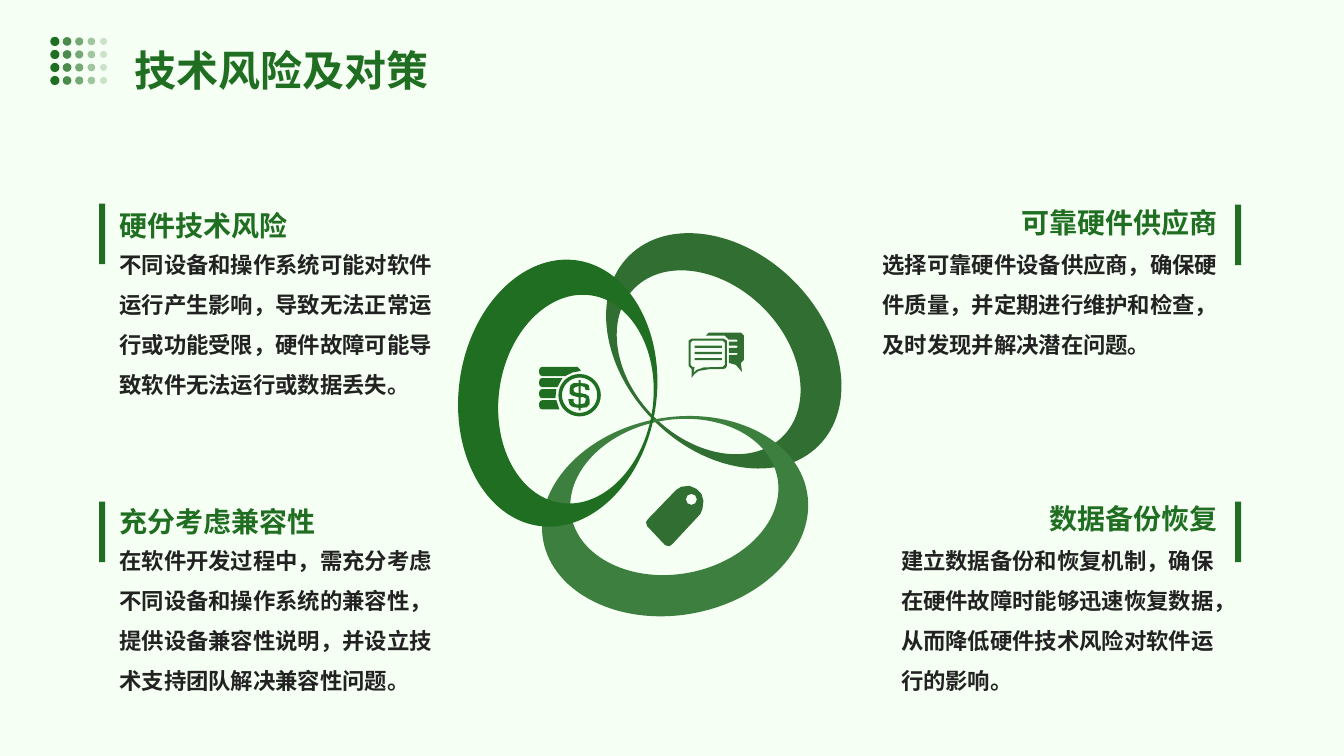
from dataclasses import dataclass
from math import cos, radians, sin

from lxml.etree import SubElement
from pptx import Presentation
from pptx.dml.color import RGBColor
from pptx.enum.shapes import MSO_SHAPE
from pptx.enum.text import MSO_ANCHOR, MSO_AUTO_SIZE, PP_ALIGN
from pptx.oxml.ns import qn
from pptx.util import Pt


@dataclass(frozen=True)
class Theme:
    back: str = "F6FFF4"
    deep: str = "1F6E21"
    mid: str = "306F31"
    soft: str = "3C7F3E"
    ink: str = "222222"
    face: str = "Noto Sans CJK JP"
    text: str = "Noto Sans CJK SC"
    title: int = 30
    head: int = 20
    body: int = 16


LOOK = Theme()
PAD = (5, 3, 5, 3)


class Curve(list):
    """A loop whose points after the first are Bezier triples."""


def apply(item, form):
    for key, val in form.items():
        setattr(item, key, val)


def paint(shape, hue, alpha=100):
    shape.shadow.inherit = False
    shape.line.fill.background()
    shape.fill.solid()
    shape.fill.fore_color.rgb = RGBColor.from_string(hue)
    if alpha < 100:
        tone = shape.fill._xPr.find(".//" + qn("a:srgbClr"))
        SubElement(tone, qn("a:alpha"), val=str(alpha * 1000))


def block(shapes, kind, box, hue, alpha=100):
    paint(shapes.add_shape(kind, *map(Pt, box)), hue, alpha)


def label(shapes, box, words, size, hue, face, pad=PAD, space=1.5,
          align=PP_ALIGN.LEFT, anchor=MSO_ANCHOR.TOP, fit=MSO_AUTO_SIZE.NONE):
    frame = shapes.add_textbox(*map(Pt, box)).text_frame
    sides = ("margin_left", "margin_top", "margin_right", "margin_bottom")
    apply(frame, dict(zip(sides, map(Pt, pad)), word_wrap=True,
                      auto_size=fit, vertical_anchor=anchor))
    para = frame.paragraphs[0]
    apply(para, {"line_spacing": space, "alignment": align})
    run = para.add_run()
    run.text = words
    apply(run.font, {"size": Pt(size), "bold": True, "name": face})
    run.font.color.rgb = RGBColor.from_string(hue)
    SubElement(run.font._element, qn("a:ea"), typeface=face)


def bend(shape, loops):
    """Turn the straight segments of each Curve into cubic ones."""
    starts = list(shape._element.iter(qn("a:moveTo")))
    for start, loop in zip(starts, loops):
        if not isinstance(loop, Curve):
            continue
        prior = start
        for _ in range(len(loop) // 3):
            cubic = start.makeelement(qn("a:cubicBezTo"))
            prior.addnext(cubic)
            for _ in range(3):
                line = cubic.getnext()
                cubic.append(line[0])
                line.getparent().remove(line)
            prior = cubic


def outline(shapes, loops, hue):
    """Draw closed loops of points as one shape; inner loops are holes."""
    first, *rest = [[(Pt(x), Pt(y)) for x, y in loop] for loop in loops]
    pen = shapes.build_freeform(*first[0], scale=1.0)
    pen.add_line_segments(first[1:], close=True)
    for loop in rest:
        pen.move_to(*loop[0])
        pen.add_line_segments(loop[1:], close=True)
    shape = pen.convert_to_shape()
    bend(shape, loops)
    paint(shape, hue)


def oval(mid, wide, high, tilt=0):
    """Four Bezier quarters of an ellipse with the given half axes."""
    turn, pull = radians(tilt), 0.55
    units = [(1, 0)]
    x, y = 1, 0
    for _ in range(4):
        u, v = -y, x
        units += [(x + pull * u, y + pull * v), (u + pull * x, v + pull * y),
                  (u, v)]
        x, y = u, v
    return Curve((mid[0] + x * wide * cos(turn) - y * high * sin(turn),
                  mid[1] + x * wide * sin(turn) + y * high * cos(turn))
                 for x, y in units)


def ring(shapes, outer, inner, tilt, hue):
    hole = Curve(oval(inner, 74.9, 55.1, tilt)[::-1])
    outline(shapes, [oval(outer, 95.8, 70.6, tilt), hole], hue)


def icon(shapes, box, grid, loops, hue):
    """Scale loops drawn on a grid of the given width to the box."""
    left, top, wide = box
    unit = wide / grid
    outline(shapes, [type(loop)((left + x * unit, top + y * unit)
                                for x, y in loop) for loop in loops], hue)


def bar(top, *edge):
    """One coin of the stack; edge holds its right side."""
    return [(3, top + 9), (0.8, top + 8.2), (0, top + 6), (0, top + 3),
            (0.8, top + 0.8), (3, top), *edge]


def coins():
    sign = [(41, 19), (41, 26), (46, 27), (49, 29), (50, 33), (50, 37),
            (47, 40), (42, 40.5), (41, 40.5), (41, 43), (39, 43), (39, 40.5),
            (35, 40), (32, 39), (30, 37), (29, 33), (29, 32), (34, 32),
            (34, 35), (36, 37), (39, 37), (39, 30), (35, 29), (32, 28),
            (30, 26), (30, 23), (31, 18), (34, 16), (39, 16), (39, 13),
            (41, 13), (41, 16), (46, 16.5), (49, 18), (50, 23), (46, 23),
            (45, 20), (42, 19)]
    upper = [(39, 19), (36, 20), (34, 21), (34, 23), (35, 25), (39, 26)]
    lower = [(41, 30), (41, 37), (45, 36), (46, 33), (46, 31), (44, 30)]
    face = (40, 28)
    return [bar(0, (38, 0), (41, 3), (41, 4), (33, 5.5), (26, 9)),
            bar(11, (23, 11), (18, 20)), bar(22, (17, 22), (16, 31)),
            bar(33, (17, 33), (20, 42)),
            oval(face, 21, 21), oval(face, 17.5, 17.5), sign, upper, lower]


def chat():
    back = [(40, 30), (47, 32), (53, 39), (52, 30), (55, 27), (55, 3),
            (52, 0), (20, 0), (17, 3), (36, 3), (40, 7)]
    for top in (7, 13, 20):
        back += [(40, top), (48, top), (49, top + 1), (48, top + 2),
                 (40, top + 2)]
    front = [(38, 33), (37, 35), (35, 36), (20, 36.3), (10, 38), (6, 41),
             (3, 45), (3, 36), (0, 33), (0, 8), (3, 6), (35, 6), (38, 8)]
    inside = [(5, 40), (6, 34), (4, 34), (2, 32), (2, 10), (4, 8), (34, 8),
              (36, 10), (36, 32), (34, 34), (15, 34.5), (8, 37)]
    lines = [[(6, y), (33, y), (33, y + 2.2), (6, y + 2.2)]
             for y in (13, 19.1, 25.2)]
    return [back, front, inside, *lines]


def tag():
    body = [(19, 59), (1, 40), (0, 36), (2, 33), (30, 4), (35, 1), (43, 0),
            (50, 3), (55, 8), (57, 15), (56, 23), (54, 28), (26, 58), (23, 60)]
    return [body, oval((45, 13.5), 5.5, 5.5)]


def knot(slide, left, top):
    """Three linked rings with an icon in each."""
    shapes = slide.shapes.add_group_shape().shapes
    rings = (((187, 84.6), (176.2, 92.8), 45, LOOK.mid),
             ((152.2, 202.7), (151.7, 189), -10.4, LOOK.soft),
             ((68.4, 114.8), (81.4, 119.1), 98.2, LOOK.deep))
    for outer, inner, tilt, hue in rings:
        ring(shapes, (left + outer[0], top + outer[1]),
             (left + inner[0], top + inner[1]), tilt, hue)
    icons = ((131.5, 181, 41, 57, tag(), LOOK.mid),
             (55.2, 96.1, 44, 61, coins(), LOOK.deep),
             (161.8, 71.6, 39.6, 55, chat(), LOOK.mid))
    for x, y, wide, grid, loops, hue in icons:
        icon(shapes, (left + x, top + y, wide), grid, loops, hue)


def banner(slide, left, top, words):
    """Fading dots and the slide title."""
    shapes = slide.shapes.add_group_shape().shapes
    for row in range(4):
        for col in range(5):
            size = 6.6 - 0.4 * col
            x, y = left + 3.2 + 8.7 * col, top + 3.6 + 9.3 * row
            block(shapes, MSO_SHAPE.OVAL, (x - size / 2, y - size / 2, size, size),
                  LOOK.deep, 100 - 20 * col)
    label(shapes, (left + 50.4, top - 18.8, 787.7, 66.2), words, LOOK.title,
          LOOK.deep, LOOK.face, pad=(10, 10, 4, 10), space=1.4,
          fit=MSO_AUTO_SIZE.SHAPE_TO_FIT_TEXT)


def note(slide, box, mark, head, body, right=False):
    """Heading over body text, with an upright bar at the outer side."""
    left, top, wide = box
    shapes = slide.shapes
    x = 882.3 if right else left - 9.4
    block(shapes, MSO_SHAPE.RECTANGLE, (x, mark, 4.3, 43.2), LOOK.deep)
    side = {"align": PP_ALIGN.RIGHT, "anchor": MSO_ANCHOR.MIDDLE} if right else {}
    label(shapes, (684 if right else left, top, 190.8, 38.9), head,
          LOOK.head, LOOK.deep, LOOK.face, **side)
    label(shapes, (left, top + 32.8, wide, 122.4), body, LOOK.body, LOOK.ink,
          LOOK.text)


def main():
    deck = Presentation()
    apply(deck, {"slide_width": Pt(960), "slide_height": Pt(540)})
    slide = deck.slides.add_slide(deck.slide_layouts[6])
    slide.background.fill.solid()
    slide.background.fill.fore_color.rgb = RGBColor.from_string(LOOK.back)
    knot(slide, 330, 166)
    banner(slide, 36, 26, "技术风险及对策")
    note(slide, (80.3, 133.7, 236.2), 145.5, "硬件技术风险",
         "不同设备和操作系统可能对软件运行产生影响，导致无法正常运行或功能受限，硬件故障可能导致软件无法运行或数据丢失。")
    note(slide, (80.3, 345.1, 236.2), 358.4, "充分考虑兼容性",
         "在软件开发过程中，需充分考虑不同设备和操作系统的兼容性，提供设备兼容性说明，并设立技术支持团队解决兼容性问题。")
    note(slide, (625.4, 133.7, 264.2), 146.2, "可靠硬件供应商",
         "选择可靠硬件设备供应商，确保硬件质量，并定期进行维护和检查，及时发现并解决潜在问题。", right=True)
    note(slide, (638.6, 345.1, 236.2), 358.4, "数据备份恢复",
         "建立数据备份和恢复机制，确保在硬件故障时能够迅速恢复数据，从而降低硬件技术风险对软件运行的影响。", right=True)
    deck.save("out.pptx")


if __name__ == "__main__":
    main()
